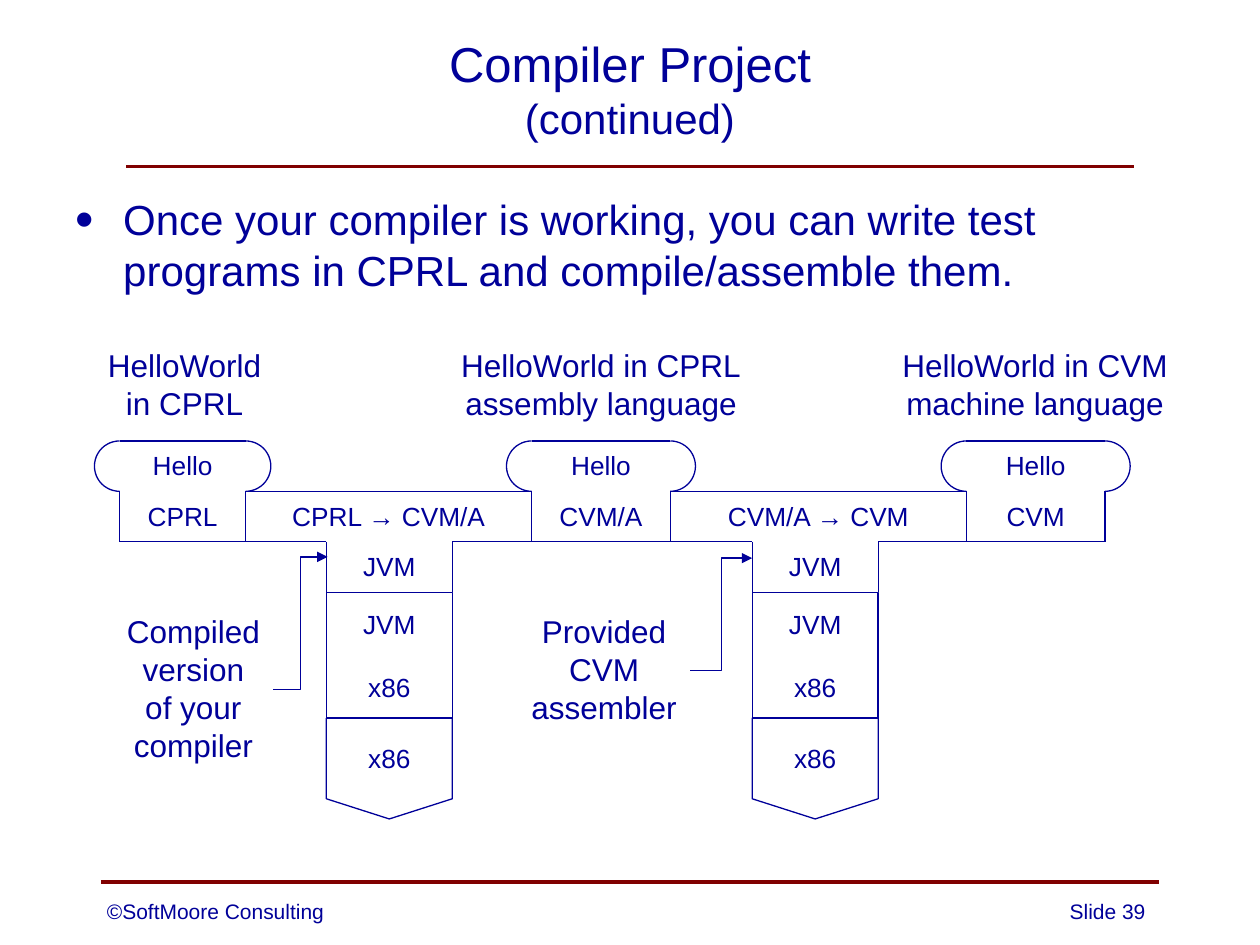
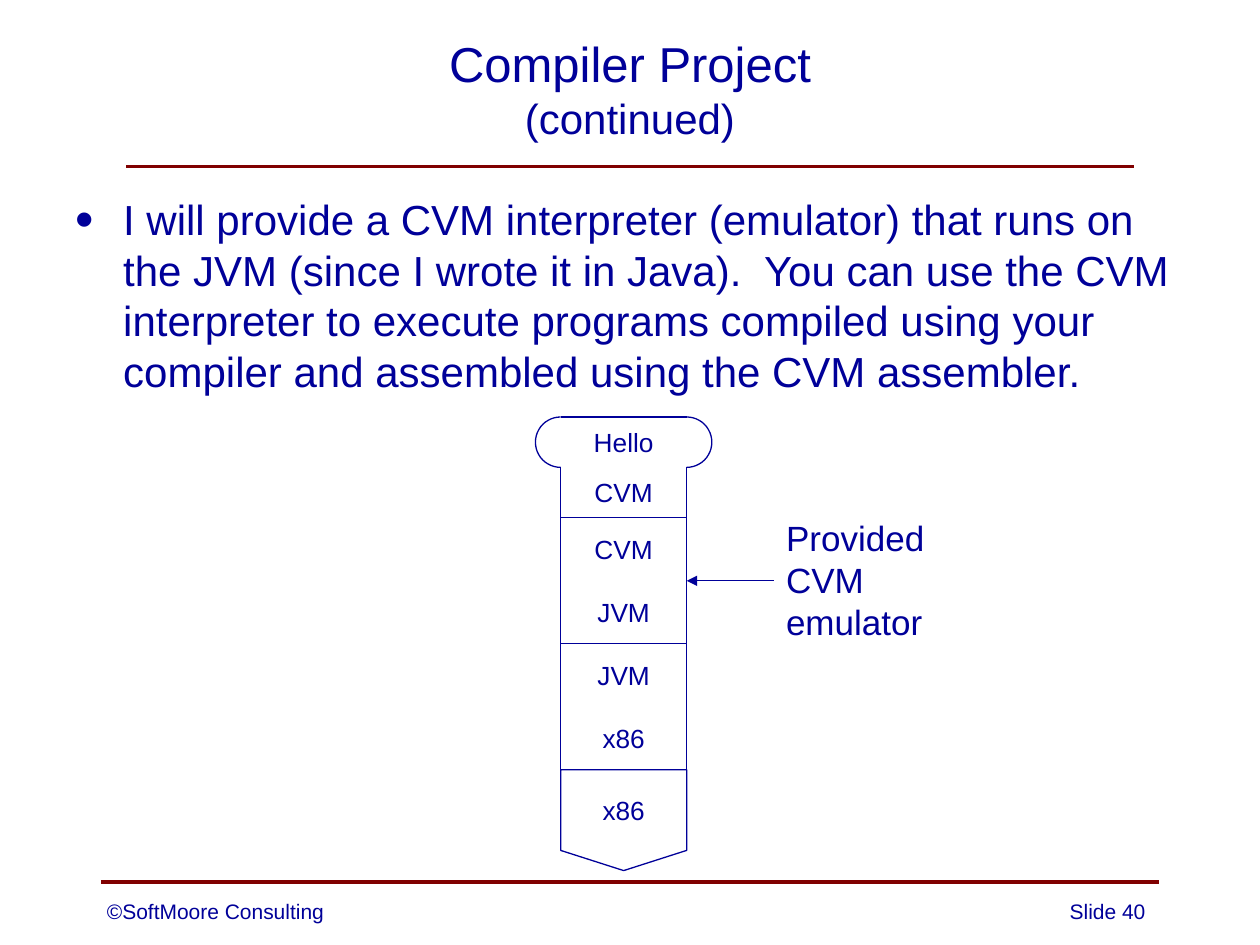
from math import cos, pi, sin

from lxml.etree import SubElement
from pptx import Presentation
from pptx.dml.color import RGBColor
from pptx.enum.shapes import MSO_CONNECTOR as Connector, MSO_SHAPE as Preset
from pptx.enum.text import MSO_ANCHOR as Anchor, PP_ALIGN as Align
from pptx.oxml.ns import qn
from pptx.util import Inches, Pt

NAVY, MAROON = "000099", "800000"
FONT = "Arial"
ROW, BLOCK, BASE, ROUND = 0.4, 1.0, 0.8, 0.2

TITLE = [("Compiler Project", 28), ("(continued)", 24)]
COPYRIGHT = "©SoftMoore Consulting"

SLIDES = [
    {
        "number": 39,
        "bullet": "Once your compiler is working, you can write test programs in CPRL "
                  "and compile/assemble them.",
        "programs": [
            (0.95, 3.5, 1.0, "Hello", "CPRL"),
            (4.22, 3.5, 1.1, "Hello", "CVM/A"),
            (7.67, 3.5, 1.1, "Hello", "CVM"),
        ],
        "translators": [
            (1.95, 4.22, 2.59, 3.9, "CPRL → CVM/A", "JVM"),
            (5.32, 7.67, 5.97, 3.9, "CVM/A → CVM", "JVM"),
        ],
        "machines": [
            (2.59, 4.7, [("JVM", "x86")], "x86"),
            (5.97, 4.7, [("JVM", "x86")], "x86"),
        ],
        "labels": [
            (["HelloWorld", "in CPRL"], (0.75, 2.7, 1.43, 0.71), 18, Align.CENTER),
            (["HelloWorld in CPRL", "assembly language"], (3.55, 2.7, 2.44, 0.71), 18, Align.CENTER),
            (["HelloWorld in CVM", "machine language"], (7.05, 2.7, 2.33, 0.71), 18, Align.CENTER),
            (["Compiled", "version", "of your", "compiler"], (0.9, 4.81, 1.27, 1.31), 18, Align.CENTER),
            (["Provided", "CVM", "assembler"], (4.11, 4.81, 1.37, 1.01), 18, Align.CENTER),
        ],
        "arrows": [
            (Connector.ELBOW, (2.17, 5.47), (2.6, 4.42)),
            (Connector.ELBOW, (5.48, 5.32), (5.97, 4.43)),
        ],
    },
    {
        "number": 40,
        "bullet": "I will provide a CVM interpreter (emulator) that runs on the JVM (since I "
                  "wrote it in Java).  You can use the CVM interpreter to execute programs "
                  "compiled using your compiler and assembled using the CVM assembler.",
        "programs": [(4.45, 3.31, 1.0, "Hello", "CVM")],
        "translators": [],
        "machines": [(4.45, 4.11, [("CVM", "JVM"), ("JVM", "x86")], "x86")],
        "labels": [
            (["Provided", "CVM", "emulator"], (6.14, 4.05, 1.4, 1.11), 20, Align.LEFT),
        ],
        "arrows": [(Connector.STRAIGHT, (6.14, 4.61), (5.45, 4.61))],
    },
]


def color(value):
    return RGBColor.from_string(value)


def set_values(target, values):
    for name, value in values.items():
        setattr(target, name, value)


def set_font(font, size):
    set_values(font, {"name": FONT, "size": Pt(size)})
    font.color.rgb = color(NAVY)


def set_line(line, value=NAVY, width=0.75):
    line.color.rgb = color(value)
    line.width = Pt(width)


def write(shape, lines, size, align=Align.CENTER, anchor=Anchor.TOP, wrap=False, gap=0):
    frame = shape.text_frame
    set_values(frame, {"word_wrap": wrap, "vertical_anchor": anchor})
    for index, line in enumerate(lines):
        paragraph = frame.add_paragraph() if index else frame.paragraphs[0]
        paragraph.alignment = align
        if index and gap:
            paragraph.space_before = Pt(gap)
        run = paragraph.add_run()
        run.text = line
        set_font(run.font, size)


def add_text(slide, lines, area, size, **options):
    box = slide.shapes.add_textbox(*map(Inches, area))
    write(box, lines, size, **options)
    return box


def add_line(slide, start, end, value=NAVY, width=0.75, kind=Connector.STRAIGHT, arrow=False):
    line = slide.shapes.add_connector(kind, *map(Inches, start + end))
    set_line(line.line, value, width)
    properties = line._element.spPr
    if arrow:
        SubElement(properties.get_or_add_ln(), qn("a:tailEnd"), type="triangle")
    SubElement(properties, qn("a:effectLst"))


def add_block(slide, preset, area, lines):
    block = slide.shapes.add_shape(preset, *map(Inches, area))
    block.shadow.inherit = False
    block.fill.background()
    set_line(block.line)
    write(block, lines, 15, anchor=Anchor.MIDDLE, gap=18)


def add_half_circle(slide, x, y, side):
    angles = [pi * step / 24 for step in range(25)]
    points = [(Inches(x + side * ROUND * sin(a)), Inches(y - ROUND * cos(a))) for a in angles]
    builder = slide.shapes.build_freeform(*points[0])
    builder.add_line_segments(points[1:], close=False)
    curve = builder.convert_to_shape()
    curve.shadow.inherit = False
    curve.fill.background()
    set_line(curve.line)


def add_row_label(slide, text, left, top, width):
    add_text(slide, [text], (left, top + 0.02, width, 0.35), 15)


def add_program(slide, left, top, width, name, language):
    right, neck, bottom = left + width, top + ROW, top + 2 * ROW
    add_line(slide, (left, top), (right, top))
    add_line(slide, (left, bottom), (right, bottom))
    for x, side in ((left, -1), (right, 1)):
        add_line(slide, (x, neck), (x, bottom))
        add_half_circle(slide, x, top + ROUND, side)
    add_row_label(slide, name, left, top, width)
    add_row_label(slide, language, left, neck, width)


def add_translator(slide, left, right, stem, top, mapping, language):
    middle, bottom, stem_right = top + ROW, top + 2 * ROW, stem + BLOCK
    add_line(slide, (left, top), (right, top))
    add_line(slide, (left, middle), (stem, middle))
    add_line(slide, (stem_right, middle), (right, middle))
    add_line(slide, (stem, bottom), (stem_right, bottom))
    for x in (stem, stem_right):
        add_line(slide, (x, middle), (x, bottom))
    add_row_label(slide, mapping, left, top, right - left)
    add_row_label(slide, language, stem, middle, BLOCK)


def add_machine(slide, left, top, interpreters, processor):
    for languages in interpreters:
        add_block(slide, Preset.RECTANGLE, (left, top, BLOCK, BLOCK), languages)
        top += BLOCK
    add_block(slide, Preset.FLOWCHART_OFFPAGE_CONNECTOR, (left, top, BLOCK, BASE), [processor])


def add_title(slide):
    box = slide.shapes.add_textbox(*map(Inches, (1, 0.15, 8, 1.1)))
    set_values(box.text_frame, {"word_wrap": True, "vertical_anchor": Anchor.MIDDLE})
    paragraph = box.text_frame.paragraphs[0]
    paragraph.alignment = Align.CENTER
    for index, (text, size) in enumerate(TITLE):
        if index:
            paragraph.add_line_break()
        run = paragraph.add_run()
        run.text = text
        set_font(run.font, size)


def add_bullet(slide, text):
    box = add_text(slide, [text], (0.5, 1.49, 9, 5.4), 24, align=Align.LEFT, wrap=True)
    properties = box.text_frame.paragraphs[0]._p.get_or_add_pPr()
    properties.set("marL", str(Inches(0.38)))
    properties.set("indent", str(-Inches(0.38)))
    SubElement(properties, qn("a:buSzPct"), val="125000")
    SubElement(properties, qn("a:buFont"), typeface=FONT)
    SubElement(properties, qn("a:buChar"), char="•")


def add_frame(slide, number):
    add_line(slide, (0.8, 7), (9.2, 7), MAROON, 2)
    add_line(slide, (1, 1.32), (9, 1.32), MAROON, 2)
    add_text(slide, [COPYRIGHT], (0.75, 7.08, 3, 0.3), 12, align=Align.LEFT, wrap=True)
    add_text(slide, [f"Slide {number}"], (7.19, 7.08, 2, 0.3), 12, align=Align.RIGHT, wrap=True)
    add_title(slide)


def add_slide(presentation, content):
    slide = presentation.slides.add_slide(presentation.slide_layouts[6])
    add_frame(slide, content["number"])
    add_bullet(slide, content["bullet"])
    for program in content["programs"]:
        add_program(slide, *program)
    for translator in content["translators"]:
        add_translator(slide, *translator)
    for machine in content["machines"]:
        add_machine(slide, *machine)
    for lines, area, size, align in content["labels"]:
        add_text(slide, lines, area, size, align=align)
    for kind, start, end in content["arrows"]:
        add_line(slide, start, end, kind=kind, arrow=True)


def main():
    presentation = Presentation()
    set_values(presentation, {"slide_width": Inches(10), "slide_height": Inches(7.5)})
    for content in SLIDES:
        add_slide(presentation, content)
    presentation.save("out.pptx")


if __name__ == "__main__":
    main()
